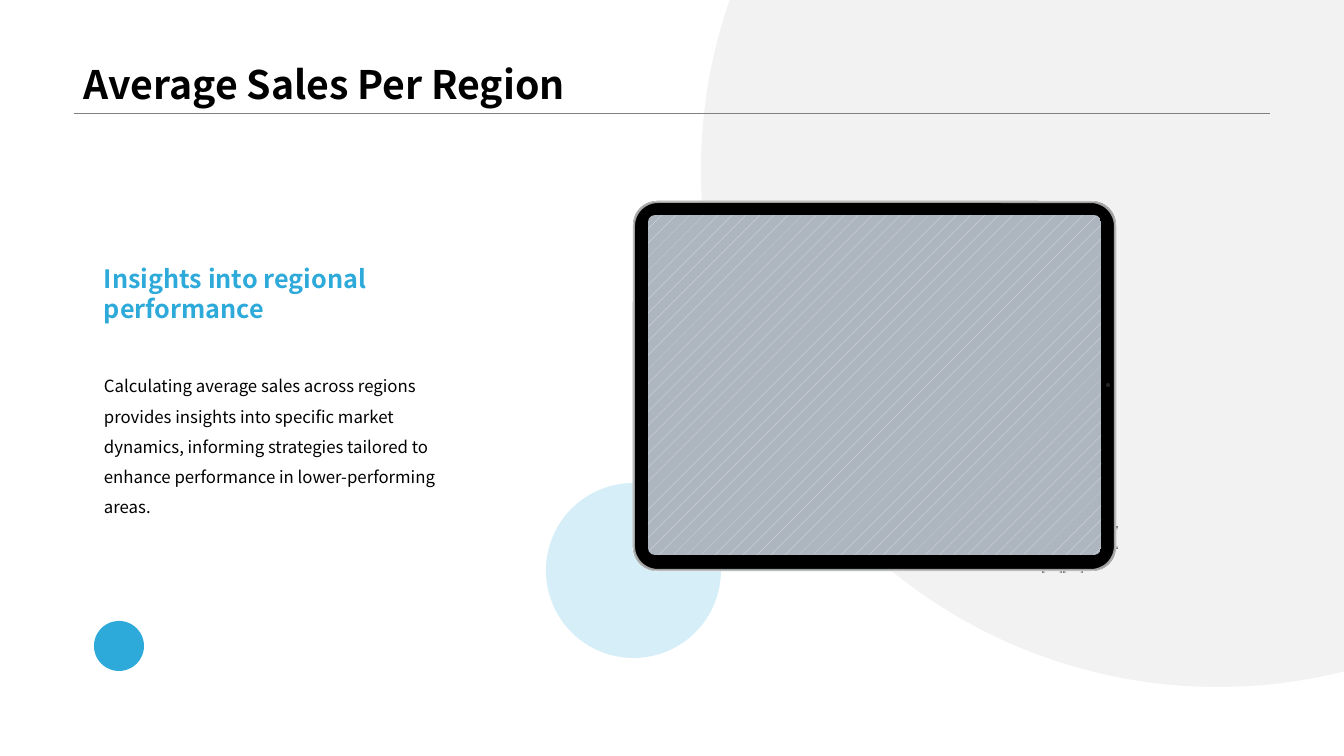
import math
from lxml import etree
from pptx import Presentation
from pptx.dml.color import RGBColor
from pptx.enum.dml import MSO_PATTERN
from pptx.enum.shapes import MSO_CONNECTOR, MSO_SHAPE
from pptx.enum.text import MSO_ANCHOR
from pptx.oxml import parse_xml
from pptx.oxml.ns import nsdecls, qn
from pptx.util import Emu, Pt

PX = 914400 / 100.8
W, H = 1344, 756
OVAL, ROUNDED = MSO_SHAPE.OVAL, MSO_SHAPE.ROUNDED_RECTANGLE
STRAIGHT, PCT5 = MSO_CONNECTOR.STRAIGHT, MSO_PATTERN.PERCENT_5
TOP, BOTTOM = MSO_ANCHOR.TOP, MSO_ANCHOR.BOTTOM

THEME = {
    "font": "Noto Sans CJK SC",
    "title": 28, "heading": 18, "body": 12,
    "text": RGBColor.from_string("000000"),
    "accent": RGBColor.from_string("2EAADA"),
    "gray": RGBColor.from_string("808080"),
    "bezel": RGBColor.from_string("000000"),
    "edge": RGBColor.from_string("9FA0A1"),
    "rim": RGBColor.from_string("F8F8F8"),
    "camera": RGBColor.from_string("464646"),
    "screen_fore": RGBColor.from_string("E4E6EA"),
    "screen_back": RGBColor.from_string("ADB5BF"),
    "button_stops": [(0, "3C3C3C", 100), (2, "3C3C3C", 100), (21, "F2F2F2", 0),
                     (82, "F2F2F2", 4), (98, "3C3C3C", 100), (100, "404040", 100)],
}


def px(*values):
    return [Emu(round(v * PX)) for v in values]


def paint(shape, fill=None, alpha=100, line=None, width=1):
    """Set fill and outline; alpha is the opacity in percent of whichever is coloured."""
    shape.shadow.inherit = False
    if fill is None:
        shape.fill.background()
    else:
        shape.fill.solid()
        shape.fill.fore_color.rgb = fill
    if line is None:
        shape.line.fill.background()
    else:
        shape.line.color.rgb = line
        shape.line.width = Pt(width)
    if alpha < 100:
        color = next(shape._element.spPr.iter(qn("a:srgbClr")))
        etree.SubElement(color, qn("a:alpha")).set("val", str(alpha * 1000))


prs = Presentation()
prs.slide_width, prs.slide_height = px(W, H)
s = prs.slides.add_slide(prs.slide_layouts[6])

# Title rule
rule = s.shapes.add_connector(STRAIGHT, *px(74, 113, 1270, 113))
rule.line.color.rgb = THEME["gray"]
rule.line.width = Pt(0.25)
etree.SubElement(rule._element.spPr, qn("a:effectLst"))

# Background circles; the large one is cut off by the slide's top and right edges
paint(s.shapes.add_shape(OVAL, *px(546, 483, 175, 175)), THEME["accent"], 20)

cx, cy, radius = 1218, 170, 517
start = math.acos((W - cx) / radius)
end = math.pi + math.asin(cy / radius)
steps = 120
arc = []
for i in range(steps + 1):
    angle = start + (end - start) * i / steps
    arc.append(px(cx + radius * math.cos(angle), cy + radius * math.sin(angle)))
builder = s.shapes.build_freeform(*px(W, 0))
builder.add_line_segments(arc, close=True)
paint(builder.convert_to_shape(), THEME["gray"], 10)

# Tablet
tablet = s.shapes.add_group_shape().shapes
stops = "".join(
    f'<a:gs pos="{pos * 1000}"><a:srgbClr val="{color}">'
    f'<a:alpha val="{alpha * 1000}"/></a:srgbClr></a:gs>'
    for pos, color, alpha in THEME["button_stops"])
for box, degrees in [((1116, 527, 2, 21), 90), ((1043, 571, 18, 2), 0), ((1064, 571, 18, 2), 0)]:
    button = tablet.add_shape(ROUNDED, *px(*box))
    paint(button, THEME["camera"])
    solid = button._element.spPr.find(qn("a:solidFill"))
    solid.getparent().replace(solid, parse_xml(
        f'<a:gradFill {nsdecls("a")}><a:gsLst>{stops}</a:gsLst>'
        f'<a:lin ang="{degrees * 60000}" scaled="0"/></a:gradFill>'))

for box, look in [
    ((633, 201, 483, 370), {"fill": THEME["bezel"]}),
    ((634, 202, 481, 368), {"line": THEME["edge"], "width": 1.44}),
    ((633, 201, 483, 370), {"line": THEME["rim"], "width": 0.96, "alpha": 50}),
]:
    frame = tablet.add_shape(ROUNDED, *px(*box))
    frame.adjustments[0] = 24 / box[3]
    paint(frame, **look)

paint(tablet.add_shape(OVAL, *px(1106, 383, 4, 4)), THEME["camera"], 50)

screen = s.shapes.add_shape(ROUNDED, *px(648, 215, 453, 340))
screen.adjustments[0] = 7 / 340
paint(screen)
screen.fill.patterned()
screen.fill.pattern = PCT5
screen.fill.fore_color.rgb = THEME["screen_fore"]
screen.fill.back_color.rgb = THEME["screen_back"]

# Text
for text, box, anchor, spacing, font in [
    ("Calculating average sales across regions provides insights into specific market "
     "dynamics, informing strategies tailored to enhance performance in lower-performing areas.",
     (94, 361, 359, 117), TOP, 1.5,
     {"size": Pt(THEME["body"]), "bold": False, "color": THEME["text"]}),
    ("Insights into regional performance", (94, 258, 359, 40), TOP, 1.0,
     {"size": Pt(THEME["heading"]), "bold": True, "color": THEME["accent"]}),
    ("Average Sales Per Region", (74, 0, 1197, 113), BOTTOM, 0.9,
     {"size": Pt(THEME["title"]), "bold": True, "color": THEME["text"]}),
]:
    tf = s.shapes.add_textbox(*px(*box)).text_frame
    tf.word_wrap = True
    tf.vertical_anchor = anchor
    p = tf.paragraphs[0]
    p.line_spacing = spacing
    r = p.add_run()
    r.text = text
    r.font.name = THEME["font"]
    r.font.color.rgb = font.pop("color")
    for name, value in font.items():
        setattr(r.font, name, value)

# Accent dot
paint(s.shapes.add_shape(OVAL, *px(94, 621, 50, 50)), THEME["accent"])

prs.save("out.pptx")
